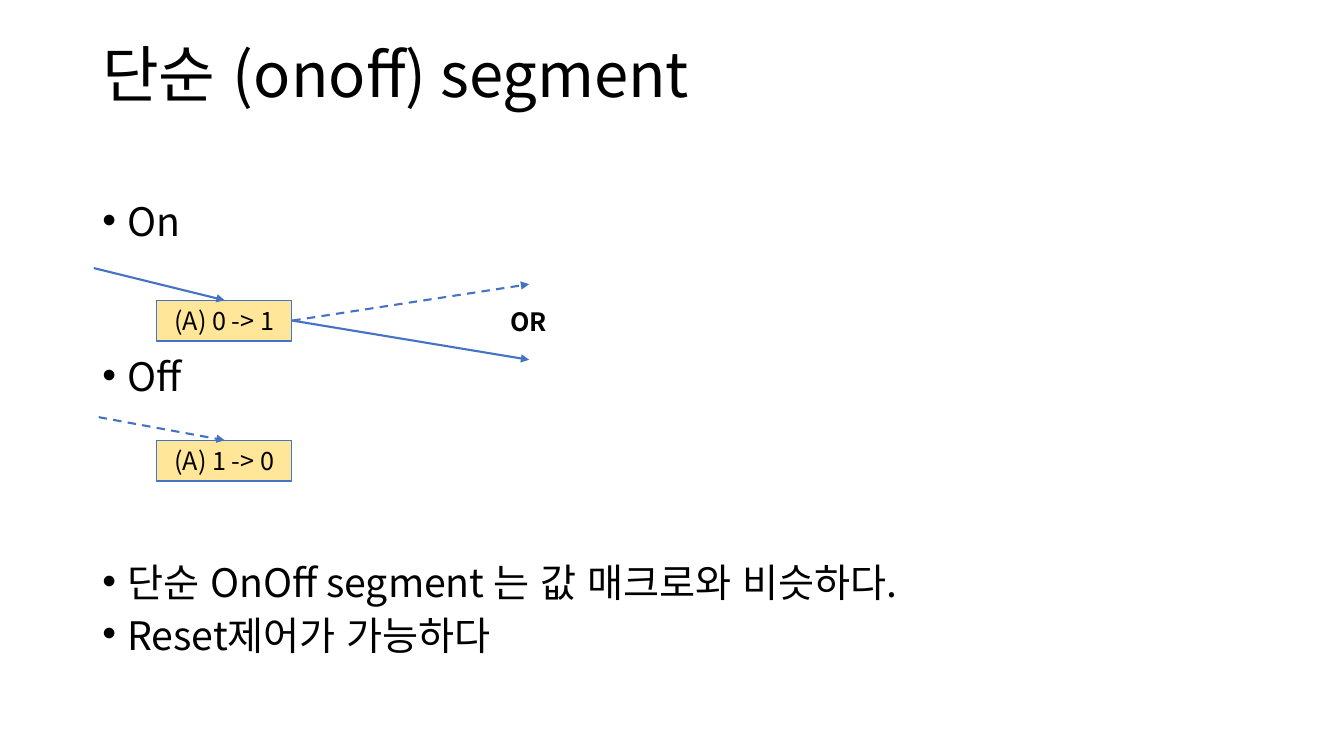
"""Build the slide that explains the simple on/off segment."""
from dataclasses import dataclass
from typing import Any

import lxml.etree
import pptx
import pptx.dml.color
import pptx.enum.dml
import pptx.enum.lang
import pptx.enum.shapes
import pptx.enum.text
import pptx.oxml
import pptx.oxml.ns
import pptx.util

Pt = pptx.util.Pt
qn = pptx.oxml.ns.qn
FONT = "Noto Sans CJK KR"
BLACK, BLUE, YELLOW = "000000", "4472C4", "FFE699"
BULLET_INDENT = 18


@dataclass
class Line:
    text: str
    size: float = 18
    bold: bool = False
    line_spacing: float = 1.0
    space_before: float = 0
    bullet: bool = False
    centred: bool = False
    kerned: bool = True


@dataclass
class Box:
    left: float
    top: float
    width: float
    height: float


@dataclass
class Arrow:
    start: tuple[float, float]
    end: tuple[float, float]
    dashed: bool = False


BODY_SPACING = 0.72
TITLE = Line("단순 (onoff) segment", 44, line_spacing=0.9, kerned=False)
BULLETS = [
    Line(text, 28, line_spacing=BODY_SPACING, space_before=gap, bullet=True, kerned=False)
    for text, gap in [
        ("On", 0),
        ("Off", 86.5),
        ("단순 OnOff segment 는 값 매크로와 비슷하다.", 123.1),
        ("Reset제어가 가능하다", 13.2),
    ]
]
STATES = [("(A) 0 -> 1", 214.5), ("(A) 1 -> 0", 314.5)]
ARROWS = [
    Arrow((208.8, 229), (378, 257)),
    Arrow((208.8, 229), (378, 203), dashed=True),
    Arrow((67, 191.5), (160.5, 214.5)),
    Arrow((70.5, 298), (160.5, 314.5), dashed=True),
]


def colour(value: str) -> pptx.dml.color.RGBColor:
    """Turn a hex string into a colour."""
    return pptx.dml.color.RGBColor.from_string(value)


def apply_format(target: Any, values: dict[str, Any]) -> None:
    """Set every named attribute on the target."""
    for name, value in values.items():
        setattr(target, name, value)


def write_lines(shape: Any, lines: list[Line]) -> None:
    """Fill the text frame of a shape with formatted paragraphs."""
    frame = shape.text_frame
    frame.word_wrap = True
    for index, line in enumerate(lines):
        paragraph = frame.add_paragraph() if index else frame.paragraphs[0]
        alignment = pptx.enum.text.PP_ALIGN
        apply_format(paragraph, {
            "alignment": alignment.CENTER if line.centred else alignment.LEFT,
            "line_spacing": line.line_spacing,
            "space_before": Pt(line.space_before),
        })
        if line.bullet:
            properties = paragraph._p.get_or_add_pPr()
            properties.set("marL", str(Pt(BULLET_INDENT)))
            properties.set("indent", str(-Pt(BULLET_INDENT)))
            lxml.etree.SubElement(properties, qn("a:buFont")).set("typeface", "Arial")
            lxml.etree.SubElement(properties, qn("a:buChar")).set("char", "•")
        run = paragraph.add_run()
        run.text = line.text
        apply_format(run.font, {
            "name": FONT,
            "size": Pt(line.size),
            "bold": line.bold,
            "language_id": pptx.enum.lang.MSO_LANGUAGE_ID.KOREAN,
        })
        run.font.color.rgb = colour(BLACK)
        run_properties = run._r.get_or_add_rPr()
        if not line.kerned:
            run_properties.set("kern", "0")
        lxml.etree.SubElement(run_properties, qn("a:ea")).set("typeface", FONT)


def add_text(slide: Any, box: Box, lines: list[Line]) -> None:
    """Add a text box."""
    shape = slide.shapes.add_textbox(Pt(box.left), Pt(box.top), Pt(box.width), Pt(box.height))
    write_lines(shape, lines)


def add_state(slide: Any, text: str, top: float) -> None:
    """Add a yellow state box."""
    shape = slide.shapes.add_shape(
        pptx.enum.shapes.MSO_SHAPE.RECTANGLE, Pt(112), Pt(top), Pt(96.5), Pt(29))
    shape.shadow.inherit = False
    shape.fill.solid()
    shape.fill.fore_color.rgb = colour(YELLOW)
    shape.line.color.rgb = colour(BLUE)
    shape.line.width = Pt(1)
    write_lines(shape, [Line(text, centred=True)])


def add_arrow(slide: Any, arrow: Arrow) -> None:
    """Add a solid or dashed arrow."""
    connector = slide.shapes.add_connector(
        pptx.enum.shapes.MSO_CONNECTOR.STRAIGHT,
        *(Pt(value) for value in arrow.start + arrow.end))
    connector.line.color.rgb = colour(BLUE)
    connector.line.width = Pt(1.5)
    if arrow.dashed:
        connector.line.dash_style = pptx.enum.dml.MSO_LINE.DASH
    outline = connector.line._get_or_add_ln()
    lxml.etree.SubElement(outline, qn("a:tailEnd")).set("type", "triangle")
    lxml.etree.SubElement(connector._element.spPr, qn("a:effectLst"))


def main() -> None:
    """Build and save the presentation."""
    presentation = pptx.Presentation()
    apply_format(presentation, {"slide_width": Pt(960), "slide_height": Pt(540)})
    slide = presentation.slides.add_slide(presentation.slide_layouts[6])
    add_text(slide, Box(66, 27.8, 828, 104), [TITLE])
    add_text(slide, Box(66, 146.1, 828, 340.5), BULLETS)
    for text, top in STATES:
        add_state(slide, text, top)
    for arrow in ARROWS:
        add_arrow(slide, arrow)
    add_text(slide, Box(357.3, 215.3, 137.5, 29), [Line("OR", bold=True)])
    presentation.save("out.pptx")


if __name__ == "__main__":
    main()
